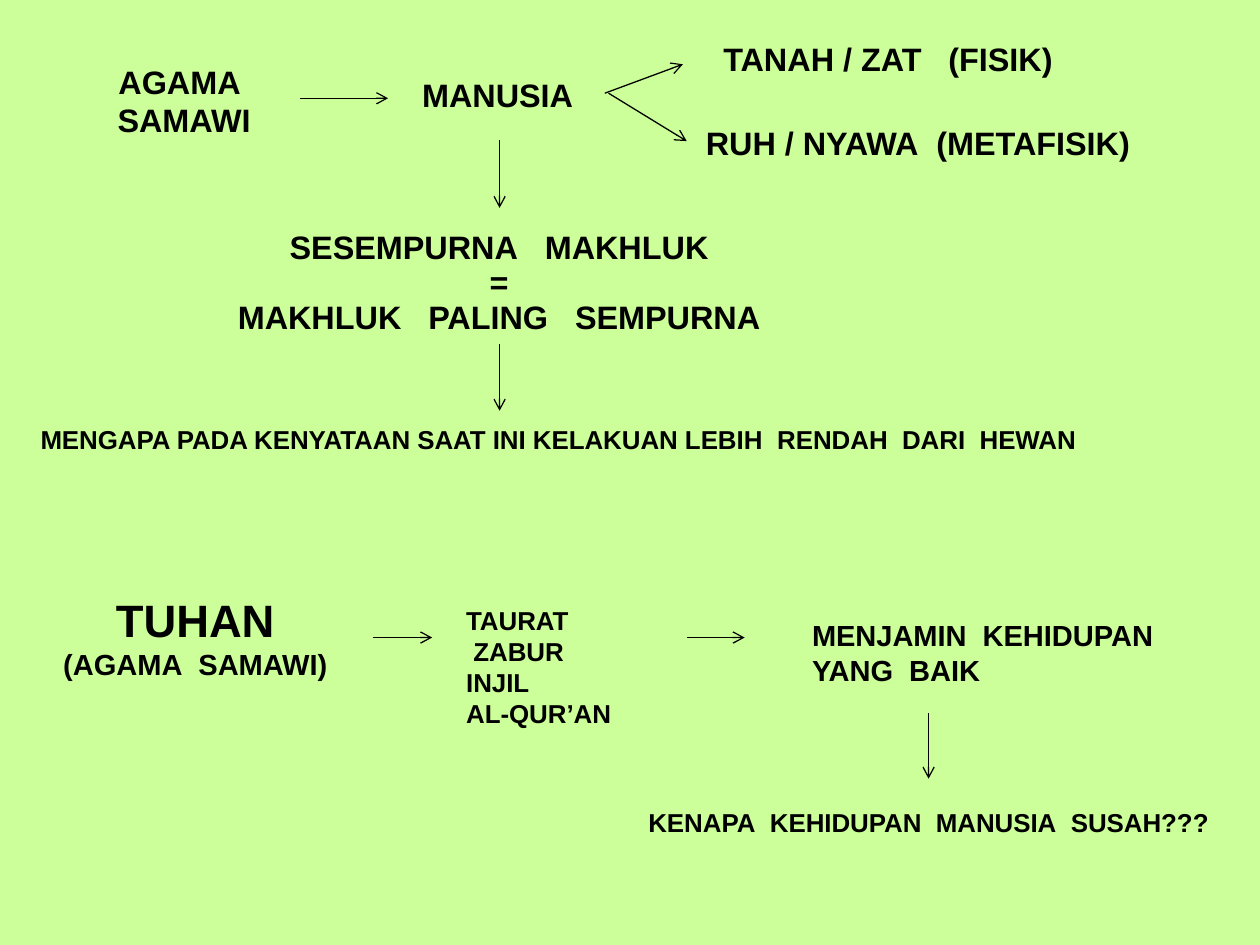
"""Draw the slide on faith, man and the good life."""
from dataclasses import dataclass

from lxml.etree import SubElement
from pptx import Presentation
from pptx.dml.color import RGBColor
from pptx.enum.shapes import MSO_CONNECTOR
from pptx.enum.text import PP_ALIGN
from pptx.oxml.ns import qn
from pptx.slide import Slide
from pptx.util import Inches, Pt

COLS, ROWS = 100, 75
WIDE, HIGH = Inches(10), Inches(7.5)


@dataclass(frozen=True)
class Theme:
    back: RGBColor = RGBColor(0xCC, 0xFF, 0x99)
    ink: RGBColor = RGBColor(0, 0, 0)
    face: str = "Arial"
    huge: float = 25.9
    large: float = 18.5
    mid: float = 16.6
    small: float = 14.8
    line: float = 0.75
    space: float = 0.278
    side: float = 0.09
    edge: float = 0.05


@dataclass(frozen=True)
class Row:
    """Text whose bars stand for wide gaps, with an indent in spaces."""
    text: str
    size: float
    indent: int = 0


@dataclass(frozen=True)
class Box:
    """Rows of text at a column and row, with a gap in spaces."""
    col: float
    row: float
    width: float
    height: float
    rows: tuple[Row, ...]
    align: PP_ALIGN = PP_ALIGN.LEFT
    lead: float = 1
    gap: int = 2


@dataclass(frozen=True)
class Arrow:
    col: float
    row: float
    right: float = 0
    down: float = 0


T = Theme()
MID = PP_ALIGN.CENTER

BOXES = (
    Box(5.8, 4.4, 16.9, 7.2,
        (Row("AGAMA", T.large), Row("SAMAWI", T.large, 1)), MID),
    Box(32.6, 5.5, 14.8, 4.1, (Row("MANUSIA", T.large),)),
    Box(56.5, 2.6, 28.5, 4.1, (Row("TANAH / ZAT|(FISIK)", T.large),), gap=3),
    Box(54.4, 9.3, 38.5, 4.1, (Row("RUH / NYAWA|(METAFISIK)", T.large, 1),)),
    Box(15, 17.9, 49.2, 9.4,
        (Row("SESEMPURNA|MAKHLUK", T.large), Row("=", T.large),
         Row("MAKHLUK|PALING|SEMPURNA", T.large)), MID, 0.9, 3),
    Box(2, 33.4, 84.6, 3.2,
        (Row("MENGAPA PADA KENYATAAN SAAT INI KELAKUAN LEBIH|RENDAH|DARI|HEWAN",
             T.small),), MID, 0.9),
    Box(3.2, 46.5, 24.6, 8.2,
        (Row("TUHAN", T.huge), Row("(AGAMA|SAMAWI)", T.mid)), MID),
    Box(36.1, 47.5, 14.6, 11,
        (Row("TAURAT", T.small), Row("ZABUR", T.small, 1),
         Row("INJIL", T.small), Row("AL-QUR’AN", T.small))),
    Box(62.9, 48.5, 30.1, 6.6,
        (Row("MENJAMIN|KEHIDUPAN", T.mid, 1), Row("YANG|BAIK", T.mid, 1))),
    Box(47.7, 63.8, 51.7, 5.5,
        (Row("KENAPA|KEHIDUPAN|MANUSIA|SUSAH???", T.small, 5),), lead=0.9),
)

ARROWS = (
    Arrow(23.8, 7.8, right=7),
    Arrow(48, 7.4, 6.2, -2.3),
    Arrow(48.3, 7.4, 6.2, 3.8),
    Arrow(39.65, 11.1, down=5.4),
    Arrow(39.65, 27.3, down=5.3),
    Arrow(29.6, 50.6, right=4.7),
    Arrow(54.5, 50.6, right=4.6),
    Arrow(73.7, 56.6, down=5.2),
)


def across(cols: float) -> int:
    return round(WIDE * cols / COLS)


def along(rows: float) -> int:
    return round(HIGH * rows / ROWS)


def write(para, row: Row, box: Box) -> None:
    """Fill one paragraph, widening the space at each bar."""
    blank = T.space * row.size
    para.alignment, para.line_spacing = box.align, box.lead
    if row.indent:
        para._p.get_or_add_pPr().set("marL", str(Pt(blank * row.indent)))
    font = para.font
    font.name, font.size, font.bold = T.face, Pt(row.size), True
    font.color.rgb = T.ink
    for place, part in enumerate(row.text.split("|")):
        if place:
            run = para.add_run()
            run.text = " "
            wide = round(blank * (box.gap - 1) * 100)
            run._r.get_or_add_rPr().set("spc", str(wide))
        para.add_run().text = part


def put(slide: Slide, box: Box) -> None:
    """Place one text box."""
    frame = slide.shapes.add_textbox(
        across(box.col), along(box.row),
        across(box.width), along(box.height)).text_frame
    frame.word_wrap = True
    frame.margin_left = frame.margin_right = Inches(T.side)
    frame.margin_top = frame.margin_bottom = Inches(T.edge)
    for place, row in enumerate(box.rows):
        para = frame.add_paragraph() if place else frame.paragraphs[0]
        write(para, row, box)


def point(slide: Slide, arrow: Arrow) -> None:
    """Draw one open-headed arrow."""
    link = slide.shapes.add_connector(
        MSO_CONNECTOR.STRAIGHT, across(arrow.col), along(arrow.row),
        across(arrow.col + arrow.right), along(arrow.row + arrow.down))
    link.line.color.rgb, link.line.width = T.ink, Pt(T.line)
    SubElement(link.line._get_or_add_ln(), qn("a:tailEnd"), type="arrow")
    SubElement(link._element.spPr, qn("a:effectLst"))


def main() -> None:
    deck = Presentation()
    deck.slide_width, deck.slide_height = WIDE, HIGH
    slide = deck.slides.add_slide(deck.slide_layouts[6])
    fill = slide.background.fill
    fill.solid()
    fill.fore_color.rgb = T.back
    for box in BOXES:
        put(slide, box)
    for arrow in ARROWS:
        point(slide, arrow)
    deck.save("out.pptx")


if __name__ == "__main__":
    main()
